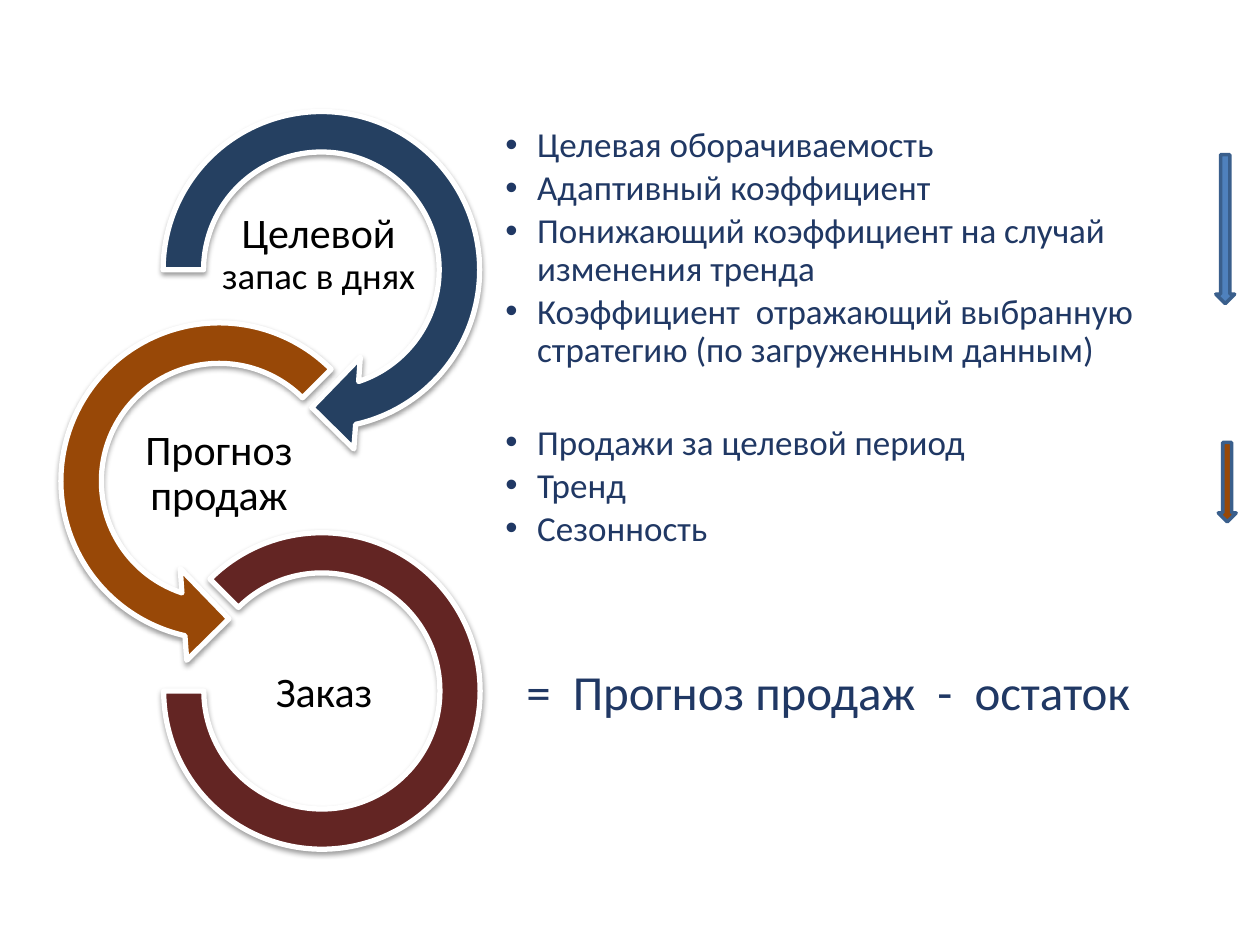
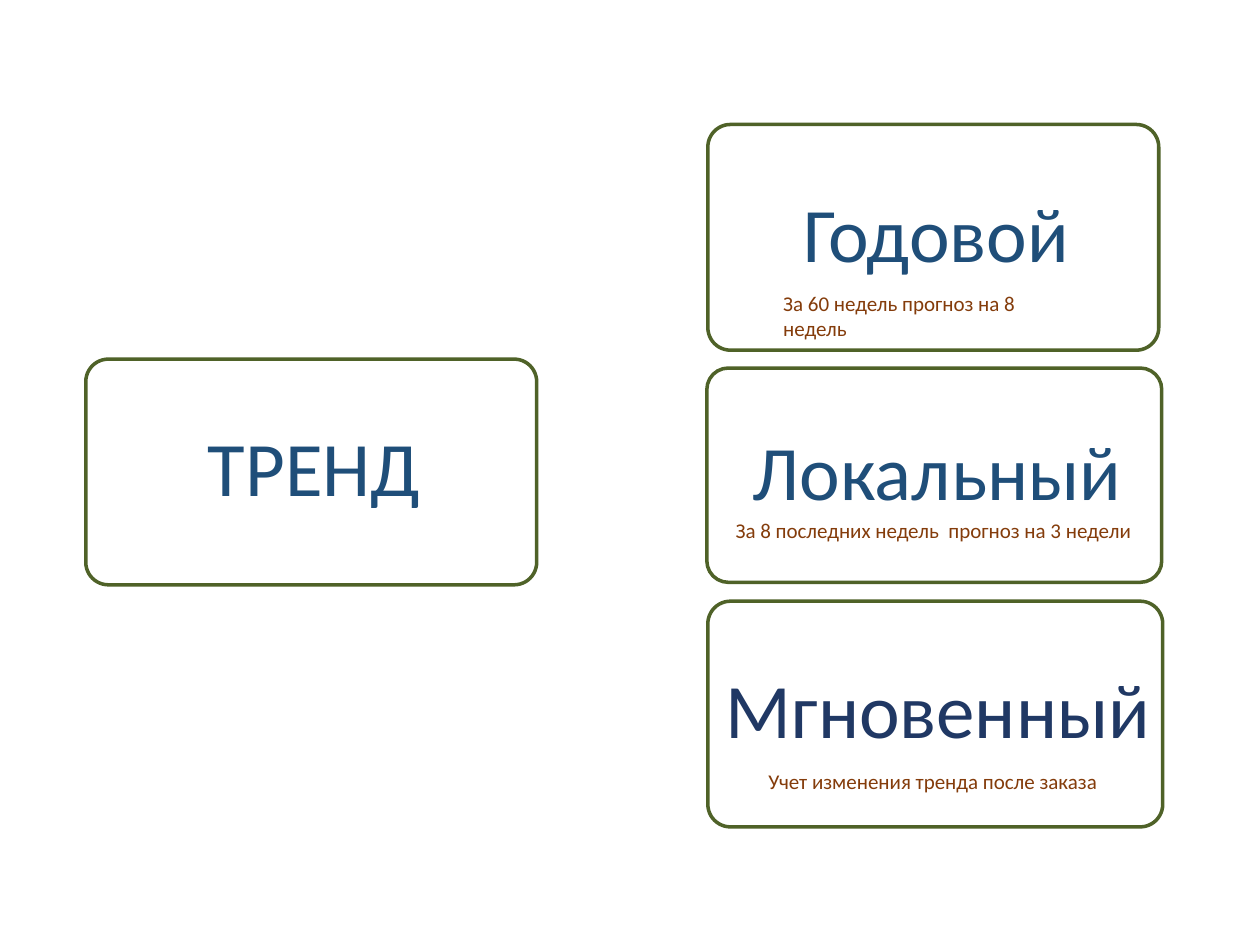
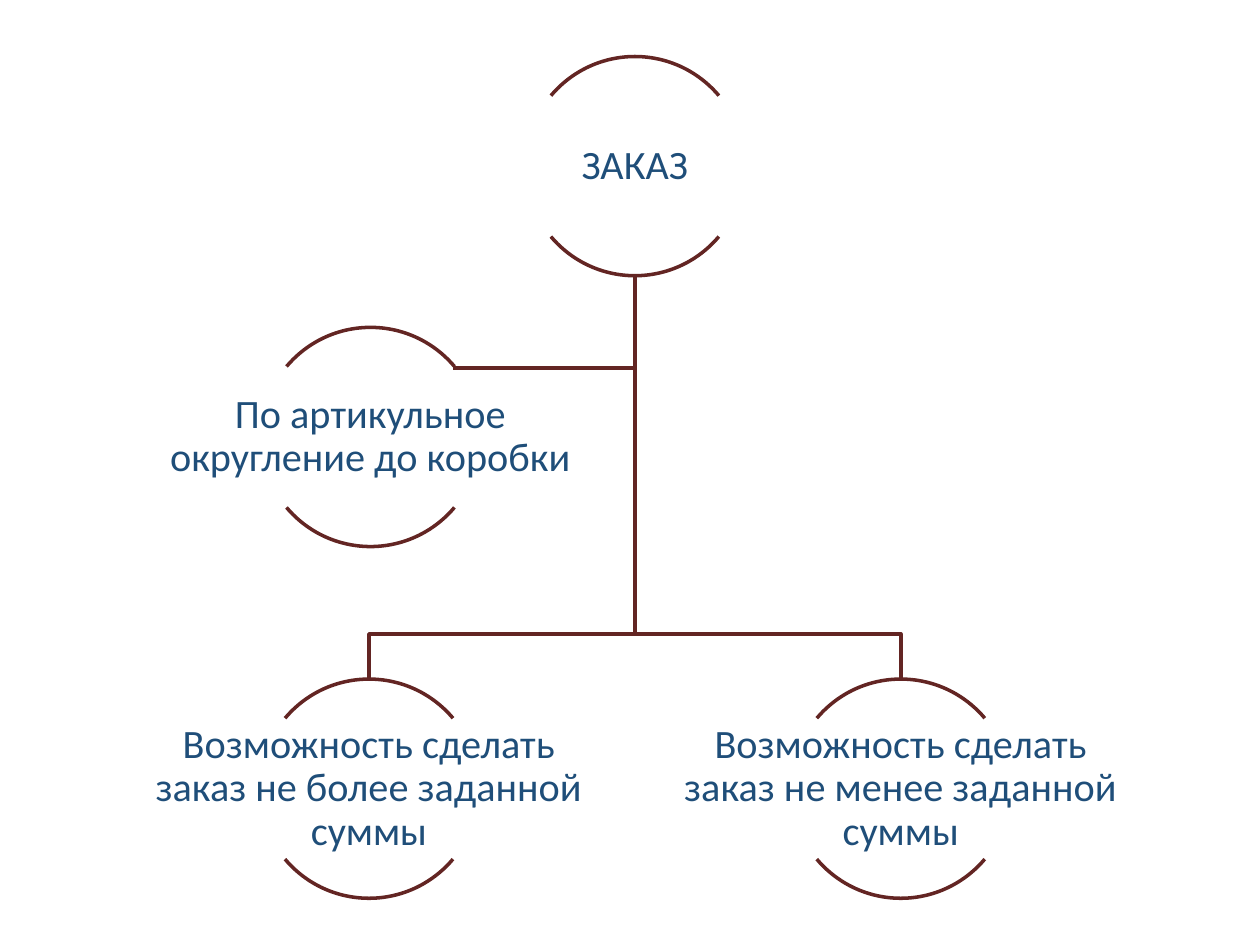
from dataclasses import dataclass, replace

from lxml import etree
from pptx import Presentation
from pptx.dml.color import RGBColor
from pptx.enum.shapes import MSO_SHAPE
from pptx.enum.text import MSO_ANCHOR, MSO_AUTO_SIZE, PP_ALIGN
from pptx.oxml.ns import qn
from pptx.util import Cm, Pt

CIRCULAR_ARROW = MSO_SHAPE.CIRCULAR_ARROW
LEFT_CIRCULAR_ARROW = MSO_SHAPE.LEFT_CIRCULAR_ARROW
BLOCK_ARC = MSO_SHAPE.BLOCK_ARC
DOWN_ARROW = MSO_SHAPE.DOWN_ARROW
ROUND_RECT = MSO_SHAPE.ROUNDED_RECTANGLE
ARC = MSO_SHAPE.ARC
TOP, MIDDLE = MSO_ANCHOR.TOP, MSO_ANCHOR.MIDDLE
LEFT, CENTER = PP_ALIGN.LEFT, PP_ALIGN.CENTER
FIT_SHAPE, NO_FIT = MSO_AUTO_SIZE.SHAPE_TO_FIT_TEXT, MSO_AUTO_SIZE.NONE

FONT = "Calibri"
NAVY, STEEL, BLACK, WHITE = "203864", "1F4E79", "000000", "FFFFFF"
DARK_BLUE, ORANGE, MAROON = "254061", "984807", "632523"
GREEN, BROWN = "4F6228", "843C0B"
BLUE, ARROW_EDGE = "4F81BD", "3A5F8C"


@dataclass(frozen=True)
class Box:
    left: float
    top: float
    width: float
    height: float

    def emu(self) -> tuple:
        return Cm(self.left), Cm(self.top), Cm(self.width), Cm(self.height)


@dataclass(frozen=True)
class TextStyle:
    size: float
    color: str
    margins: tuple = (0.25, 0.13, 0.25, 0.13)
    anchor: MSO_ANCHOR = TOP
    align: PP_ALIGN = LEFT
    spacing: float = 1.0
    after: float = 0
    wrap: bool = True
    grow: bool = False
    bullet: bool = False


@dataclass(frozen=True)
class Figure:
    kind: MSO_SHAPE
    box: Box
    adjustments: tuple
    fill: str | None
    line: str
    weight: float = 2
    shadow: bool = False


@dataclass(frozen=True)
class Label:
    box: Box
    lines: tuple
    style: TextStyle


@dataclass(frozen=True)
class Node:
    center: float
    top: float
    text: str


LOOSE = TextStyle(24, BLACK, wrap=False, grow=True)
RING = TextStyle(24, BLACK, (0.05,) * 4, MIDDLE, CENTER, 0.9, 8.4)
BULLETS = TextStyle(20, NAVY, (0.03,) * 4, MIDDLE, LEFT, 0.9, 3, bullet=True)
CARD = TextStyle(44, STEEL, (0.2, 0.2, 0.08, 0.2), MIDDLE, CENTER, 0.9, 15.4)
CAPTION = replace(LOOSE, size=12, color=BROWN)
NODE = TextStyle(23, STEEL, (0.05,) * 4, MIDDLE, CENTER, 0.9, 8.1)

NODE_SIZE = 4.42
NODE_TEXT_TOP = 0.8
NODE_TEXT_HEIGHT = 2.82


def rgb(value: str) -> RGBColor:
    return RGBColor.from_string(value)


def style_run(r, size: float, color: str) -> None:
    r.font.name = FONT
    r.font.size = Pt(size)
    r.font.color.rgb = rgb(color)


def add_bullet(p, color: str) -> None:
    pPr = p._p.get_or_add_pPr()
    pPr.set("marL", str(Cm(0.64)))
    pPr.set("indent", str(-Cm(0.64)))
    bu_color = etree.SubElement(pPr, qn("a:buClr"))
    etree.SubElement(bu_color, qn("a:srgbClr"), val=color)
    etree.SubElement(pPr, qn("a:buFont"), typeface="Arial")
    etree.SubElement(pPr, qn("a:buChar"), char="•")


def write_text(sp, lines: tuple, style: TextStyle) -> None:
    tf = sp.text_frame
    tf.text = "\n".join(lines)
    tf.word_wrap = style.wrap
    tf.auto_size = FIT_SHAPE if style.grow else NO_FIT
    tf.vertical_anchor = style.anchor
    tf.margin_left, tf.margin_top, tf.margin_right, tf.margin_bottom = map(Cm, style.margins)
    for p in tf.paragraphs:
        p.alignment = style.align
        p.line_spacing = style.spacing
        p.space_after = Pt(style.after)
        if style.bullet:
            add_bullet(p, style.color)
        for r in p.runs:
            style_run(r, style.size, style.color)


def add_label(s, label: Label):
    sp = s.shapes.add_textbox(*label.box.emu())
    write_text(sp, label.lines, label.style)
    return sp


def add_shadow(sp) -> None:
    effects = sp._element.spPr.find(qn("a:effectLst"))
    shadow = etree.SubElement(effects, qn("a:outerShdw"), blurRad=str(Pt(3.1)),
                              dist=str(Pt(1.6)), dir="5400000", rotWithShape="0")
    color = etree.SubElement(shadow, qn("a:srgbClr"), val=BLACK)
    etree.SubElement(color, qn("a:alpha"), val="38000")


def paint(sp, fill: str | None, line: str, weight: float) -> None:
    sp.shadow.inherit = False
    if fill:
        sp.fill.solid()
        sp.fill.fore_color.rgb = rgb(fill)
    else:
        sp.fill.background()
    sp.line.color.rgb = rgb(line)
    sp.line.width = Pt(weight)


def add_figure(s, figure: Figure):
    sp = s.shapes.add_shape(figure.kind, *figure.box.emu())
    for i, value in enumerate(figure.adjustments):
        sp.adjustments[i] = value
    paint(sp, figure.fill, figure.line, figure.weight)
    if figure.shadow:
        add_shadow(sp)
    return sp


def add_path(s, points: tuple) -> None:
    start, *rest = [(Cm(x), Cm(y)) for x, y in points]
    builder = s.shapes.build_freeform(*start)
    builder.add_line_segments(rest, close=False)
    paint(builder.convert_to_shape(), None, MAROON, 2)


def add_node(s, node: Node) -> None:
    circle = Box(node.center - NODE_SIZE / 2, node.top, NODE_SIZE, NODE_SIZE)
    for angles in ((132, 192), (24, 84)):
        add_figure(s, Figure(ARC, circle, angles, None, MAROON))
    box = Box(node.center - NODE_SIZE, node.top + NODE_TEXT_TOP, 2 * NODE_SIZE, NODE_TEXT_HEIGHT)
    add_label(s, Label(box, (node.text,), NODE))


def build_order_cycle(s) -> None:
    rings = (
        (CIRCULAR_ARROW, Box(2.77, 1.73, 7.42, 7.42), (0.11, 11.42, 45, 108, 0.125), DARK_BLUE),
        (LEFT_CIRCULAR_ARROW, Box(0.71, 5.99, 7.42, 7.42), (0.11, 11.42, 63, 189, 0.125), ORANGE),
        (BLOCK_ARC, Box(3.3, 10.74, 6.38, 6.38), (135, 108, 0.127), MAROON),
    )
    for kind, box, adjustments, fill in rings:
        add_figure(s, Figure(kind, box, adjustments, fill, WHITE, 3, True))

    target = add_label(s, Label(Box(4.37, 4.11, 4.11, 2.06), ("Целевой",), RING))
    r = target.text_frame.paragraphs[0].add_run()
    r.text = " запас в днях"
    style_run(r, 21, BLACK)

    labels = (
        Label(Box(10.16, 3.12, 13.28, 3.78), (
            "Целевая оборачиваемость",
            "Адаптивный коэффициент",
            "Понижающий коэффициент на случай изменения тренда",
            "Коэффициент  отражающий выбранную стратегию (по загруженным данным)",
        ), BULLETS),
        Label(Box(10.16, 8.33, 12.57, 2.97),
              ("Продажи за целевой период", "Тренд", "Сезонность"), BULLETS),
        Label(Box(2.36, 8.53, 4.11, 2.06), ("Прогноз продаж",), RING),
        Label(Box(5.31, 13.28, 2.46, 1.27), ("Заказ",), LOOSE),
        Label(Box(10.36, 13.21, 12.7, 1.42), ("=  Прогноз продаж  -  остаток",),
              replace(LOOSE, size=28, color=NAVY)),
    )
    for label in labels:
        add_label(s, label)

    for box, fill in ((Box(24.51, 3.12, 0.38, 3), BLUE), (Box(24.56, 8.92, 0.36, 1.6), ORANGE)):
        add_figure(s, Figure(DOWN_ARROW, box, (0.5, 0.5), fill, ARROW_EDGE))


def build_trend(s) -> None:
    cards = (
        Label(Box(1.73, 7.24, 9.09, 4.55), ("ТРЕНД",), CARD),
        Label(Box(14.27, 2.51, 9.09, 4.55), ("Годовой",), CARD),
        Label(Box(14.25, 7.42, 9.17, 4.32), ("Локальный",), CARD),
        Label(Box(14.27, 12.12, 9.17, 4.55), ("Мгновенный",), replace(CARD, color=NAVY)),
    )
    for card in cards:
        sp = add_figure(s, Figure(ROUND_RECT, card.box, (0.1,), None, GREEN))
        write_text(sp, card.lines, card.style)

    captions = (
        Label(Box(15.54, 5.72, 6.55, 0.76), ("За 60 недель прогноз на 8 недель",), CAPTION),
        Label(Box(14.58, 10.31, 8.61, 0.76), ("За 8 последних недель  прогноз на 3 недели",),
              replace(CAPTION, wrap=True)),
        Label(Box(15.24, 15.37, 7.14, 0.76), ("Учет изменения тренда после заказа",), CAPTION),
    )
    for caption in captions:
        add_label(s, caption)


def build_order_rules(s) -> None:
    root = Node(12.8, 1.14, "ЗАКАЗ")
    rounding = Node(7.47, 6.6, "По артикульное округление до коробки")
    limits = (
        Node(7.44, 13.69, "Возможность сделать заказ не более заданной суммы"),
        Node(18.16, 13.69, "Возможность сделать заказ не менее заданной суммы"),
    )
    start = (root.center, root.top + NODE_SIZE)
    side_y, fork_y = 7.42, 12.78
    add_path(s, (start, (root.center, side_y), (9.14, side_y)))
    for node in limits:
        add_path(s, (start, (root.center, fork_y), (node.center, fork_y), (node.center, node.top)))
    for node in (root, *limits, rounding):
        add_node(s, node)


def main() -> None:
    prs = Presentation()
    prs.slide_width, prs.slide_height = Cm(25.4), Cm(19.05)
    for build in (build_order_cycle, build_trend, build_order_rules):
        build(prs.slides.add_slide(prs.slide_layouts[6]))
    prs.save("out.pptx")


if __name__ == "__main__":
    main()
